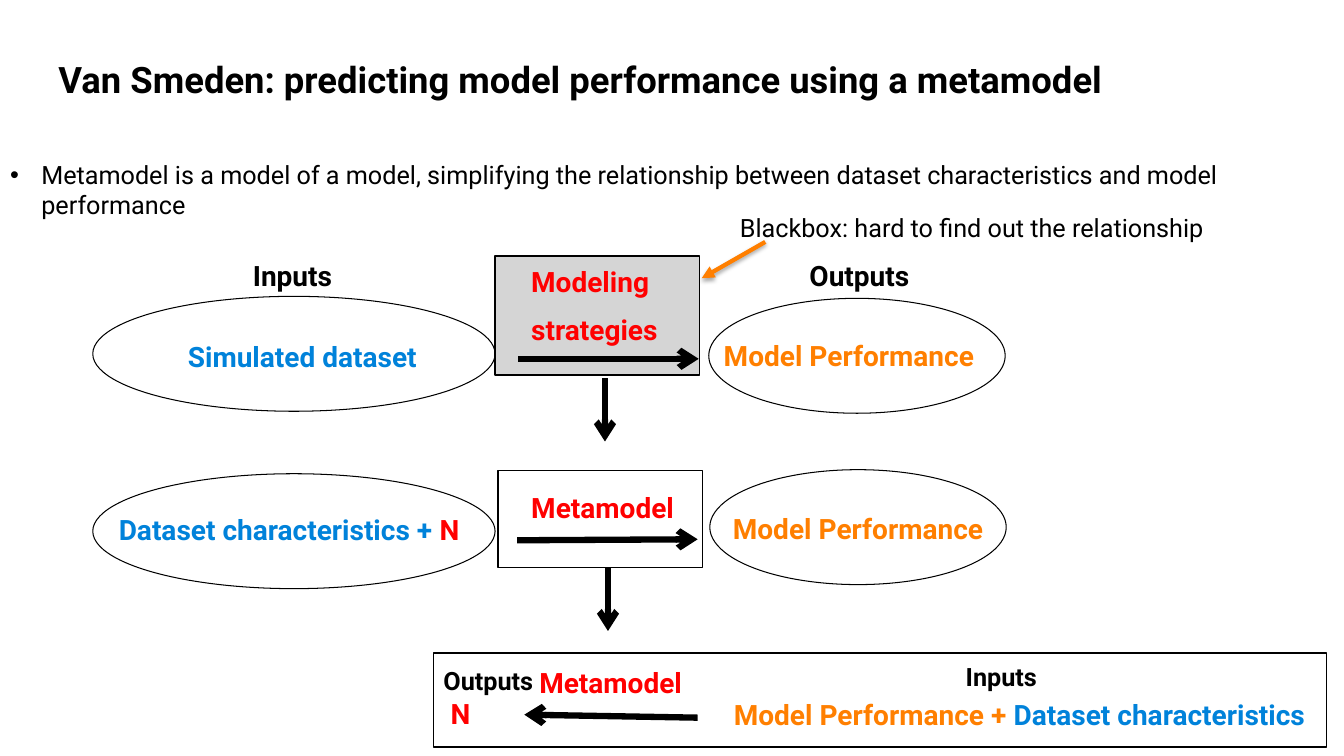
"""Build the slide on predicting model performance with a metamodel."""
from dataclasses import dataclass

from lxml import etree
from pptx import Presentation
from pptx.dml.color import RGBColor
from pptx.enum.shapes import MSO_CONNECTOR, MSO_SHAPE
from pptx.enum.text import MSO_ANCHOR, MSO_AUTO_SIZE, PP_ALIGN
from pptx.oxml.ns import qn
from pptx.slide import Slide
from pptx.text.text import TextFrame
from pptx.util import Inches, Pt

RECT, OVAL = MSO_SHAPE.RECTANGLE, MSO_SHAPE.OVAL
LINE = MSO_CONNECTOR.STRAIGHT
LEFT, MIDDLE = PP_ALIGN.LEFT, PP_ALIGN.CENTER
TOP, FIXED = MSO_ANCHOR.TOP, MSO_AUTO_SIZE.NONE


@dataclass(frozen=True)
class Theme:
    font: str = "Roboto"
    black: str = "000000"
    gray: str = "D5D5D5"
    blue: str = "0082DA"
    orange: str = "FF7F00"
    red: str = "FF0000"
    title: int = 26
    large: int = 20
    small: int = 18


THEME = Theme()
Spans = list[tuple[str, str]]


@dataclass(frozen=True)
class Box:
    kind: MSO_SHAPE
    place: tuple[float, float, float, float]
    fill: str | None = None
    width: float = 1


@dataclass(frozen=True)
class Label:
    place: tuple[float, float, float, float]
    lines: list[Spans]
    size: int = THEME.large
    bold: bool = True
    align: PP_ALIGN = LEFT


@dataclass(frozen=True)
class Arrow:
    start: tuple[float, float]
    end: tuple[float, float]
    color: str = THEME.black
    width: float = 4.5
    head: str = "arrow"
    shadow: bool = False


INPUT = "Dataset characteristics"
SCORE = [[("Model Performance", THEME.orange)]]
META = [[("Metamodel", THEME.red)]]
INS = [[("Inputs", THEME.black)]]
OUTS = [[("Outputs", THEME.black)]]

BOXES = [
    Box(RECT, (4.94, 4.67, 2.03, 0.96)),
    Box(RECT, (4.91, 2.54, 2.03, 1.18), THEME.gray),
    Box(RECT, (4.3, 6.48, 8.86, 0.93)),
    Box(OVAL, (0.92, 2.94, 3.99, 1.14), width=0.75),
    Box(OVAL, (0.92, 4.7, 3.99, 1.14), width=0.75),
    Box(OVAL, (7.03, 2.96, 2.94, 1.14), width=0.75),
    Box(OVAL, (7.04, 4.66, 2.94, 1.14), width=0.75),
]
ARROWS = [
    Arrow((5.14, 3.56), (6.93, 3.56)),
    Arrow((6, 3.75), (6, 4.38)),
    Arrow((7.59, 2.4), (6.96, 2.76), THEME.orange, 3, "triangle", True),
    Arrow((5.13, 5.36), (6.92, 5.35)),
    Arrow((6.03, 5.63), (6.03, 6.26)),
    Arrow((6.92, 7.12), (5.2, 7.09)),
]
LABELS = [
    Label((1.08, 3.32, 3.84, 0.44), [[("Simulated dataset", THEME.blue)]], align=MIDDLE),
    Label((7.08, 3.31, 2.76, 0.44), SCORE),
    Label((5.17, 2.58, 1.5, 0.94),
          [[("Modeling", THEME.red)], [("strategies", THEME.red)]]),
    Label((7.17, 5.03, 2.8, 0.44), SCORE),
    Label((5.17, 4.82, 1.99, 0.44), META),
    Label((7.24, 2.06, 5.08, 0.4),
          [[("Blackbox: hard to find out the relationship", THEME.black)]],
          THEME.small, False),
    Label((1.08, 5.04, 3.84, 0.44),
          [[(INPUT + " + ", THEME.blue), ("N", THEME.red)]]),
    Label((7.18, 6.87, 6.1, 0.44),
          [[("Model Performance + ", THEME.orange), (INPUT, THEME.blue)]]),
    Label((5.25, 6.55, 1.99, 0.44), META),
    Label((4.37, 6.86, 0.65, 0.44), [[("N", THEME.red)]]),
    Label((2.41, 2.52, 1, 0.44), INS),
    Label((7.93, 2.52, 1.27, 0.44), OUTS),
    Label((4.3, 6.55, 1.17, 0.4), OUTS, THEME.small),
    Label((9.48, 6.51, 1, 0.4), INS, THEME.small),
]


def write(frame: TextFrame, lines: list[Spans], *, size: int = THEME.large,
          bold: bool = True, align: PP_ALIGN = LEFT) -> None:
    frame.word_wrap = True
    frame.auto_size = FIXED
    frame.vertical_anchor = TOP
    for rank, spans in enumerate(lines):
        line = frame.add_paragraph() if rank else frame.paragraphs[0]
        line.alignment = align
        line.space_before = Pt(size / 2 if rank else 0)
        for text, color in spans:
            run = line.add_run()
            run.text = text
            font = run.font
            font.name, font.size, font.bold = THEME.font, Pt(size), bold
            font.color.rgb = RGBColor.from_string(color)


def move(shape, place: tuple[float, float, float, float]) -> None:
    shape.left, shape.top, shape.width, shape.height = map(Inches, place)


def draw_box(slide: Slide, box: Box) -> None:
    shape = slide.shapes.add_shape(box.kind, *map(Inches, box.place))
    shape.shadow.inherit = False
    if box.fill:
        shape.fill.solid()
        shape.fill.fore_color.rgb = RGBColor.from_string(box.fill)
    else:
        shape.fill.background()
    shape.line.color.rgb = RGBColor.from_string(THEME.black)
    shape.line.width = Pt(box.width)


def draw_label(slide: Slide, label: Label) -> None:
    shape = slide.shapes.add_textbox(*map(Inches, label.place))
    write(shape.text_frame, label.lines, size=label.size,
          bold=label.bold, align=label.align)


def draw_arrow(slide: Slide, arrow: Arrow) -> None:
    link = slide.shapes.add_connector(LINE, *map(Inches, arrow.start + arrow.end))
    link.line.color.rgb = RGBColor.from_string(arrow.color)
    link.line.width = Pt(arrow.width)
    props = link._element.spPr
    etree.SubElement(props.find(qn("a:ln")), qn("a:tailEnd"), type=arrow.head)
    effects = etree.SubElement(props, qn("a:effectLst"))
    if arrow.shadow:
        shade = etree.SubElement(effects, qn("a:outerShdw"), blurRad=str(Pt(3.1)),
                                 dist=str(Pt(1.8)), dir="5400000", rotWithShape="0")
        tint = etree.SubElement(shade, qn("a:srgbClr"), val=THEME.black)
        etree.SubElement(tint, qn("a:alpha"), val="35000")


def draw_heads(slide: Slide) -> None:
    title, body = slide.shapes.title, slide.placeholders[1]
    move(title, (0.58, 0.57, 10.74, 0.49))
    frame = title.text_frame
    frame.margin_left = frame.margin_right = frame.margin_top = frame.margin_bottom = 0
    write(frame, [[("Van Smeden: predicting model performance using a metamodel",
                    THEME.black)]], size=THEME.title)
    move(body, (0, 1.53, 13, 0.7))
    write(body.text_frame, [[(
        "Metamodel is a model of a model, simplifying the relationship between "
        "dataset characteristics and model performance", THEME.black)]],
        size=THEME.small, bold=False)
    props = body.text_frame.paragraphs[0]._p.get_or_add_pPr()
    props.set("marL", str(Inches(0.31)))
    props.set("indent", str(Inches(-0.31)))
    etree.SubElement(props, qn("a:buFont"), typeface="Arial")
    etree.SubElement(props, qn("a:buChar"), char="•")


def main() -> None:
    deck = Presentation()
    deck.slide_width, deck.slide_height = Inches(13.33), Inches(7.5)
    slide = deck.slides.add_slide(deck.slide_layouts[1])
    draw_heads(slide)
    for box in BOXES:
        draw_box(slide, box)
    for arrow in ARROWS:
        draw_arrow(slide, arrow)
    for label in LABELS:
        draw_label(slide, label)
    deck.save("out.pptx")


if __name__ == "__main__":
    main()
